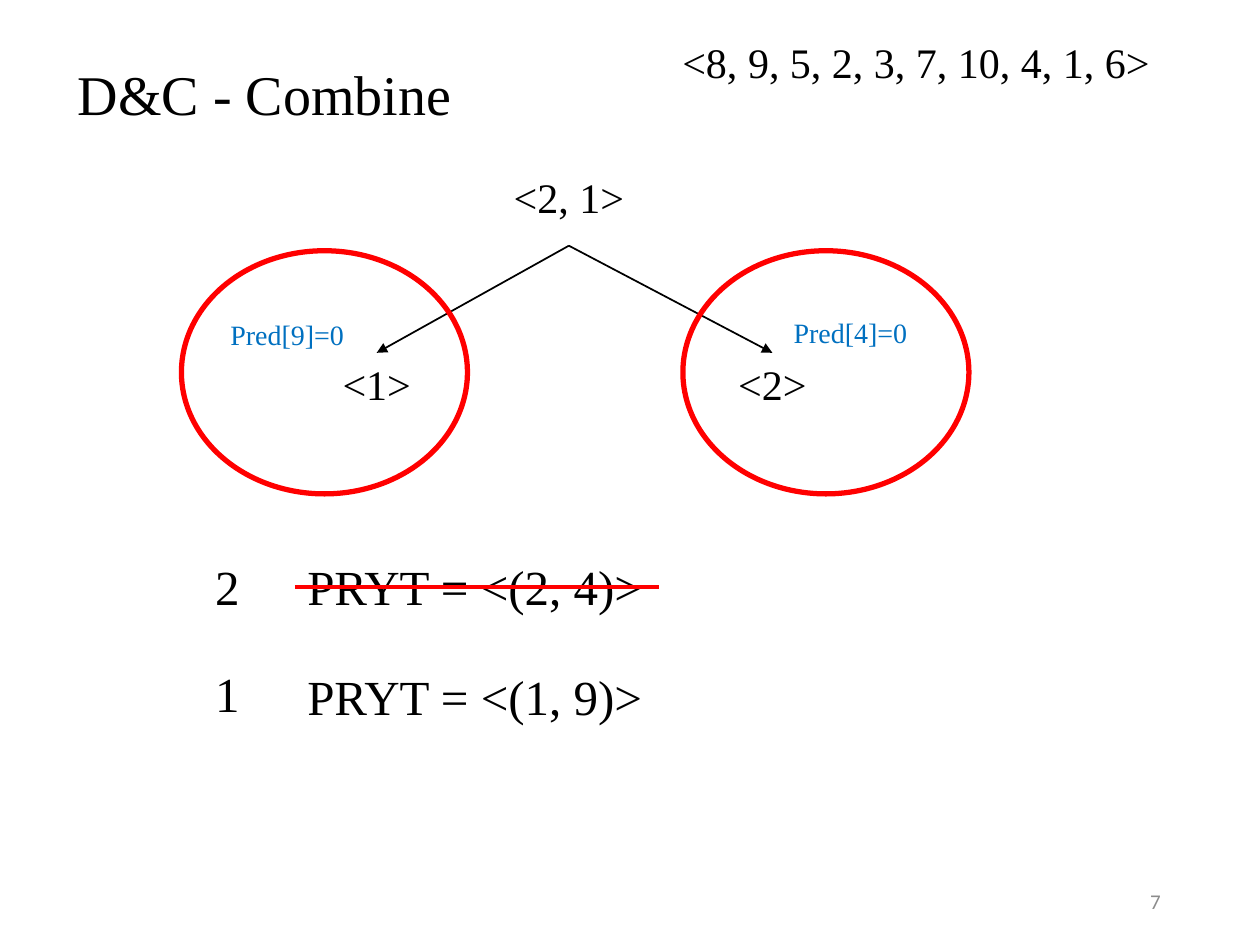
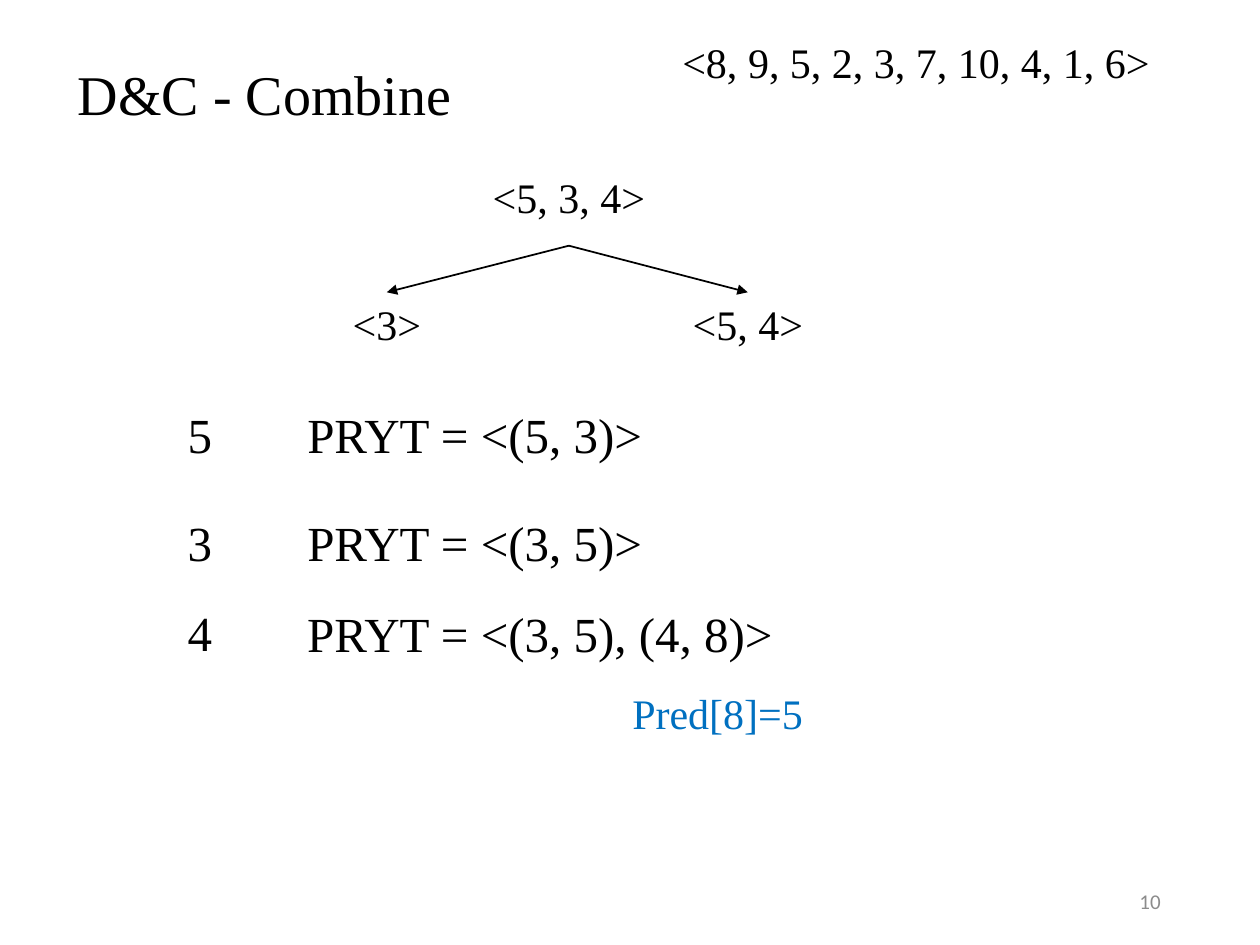
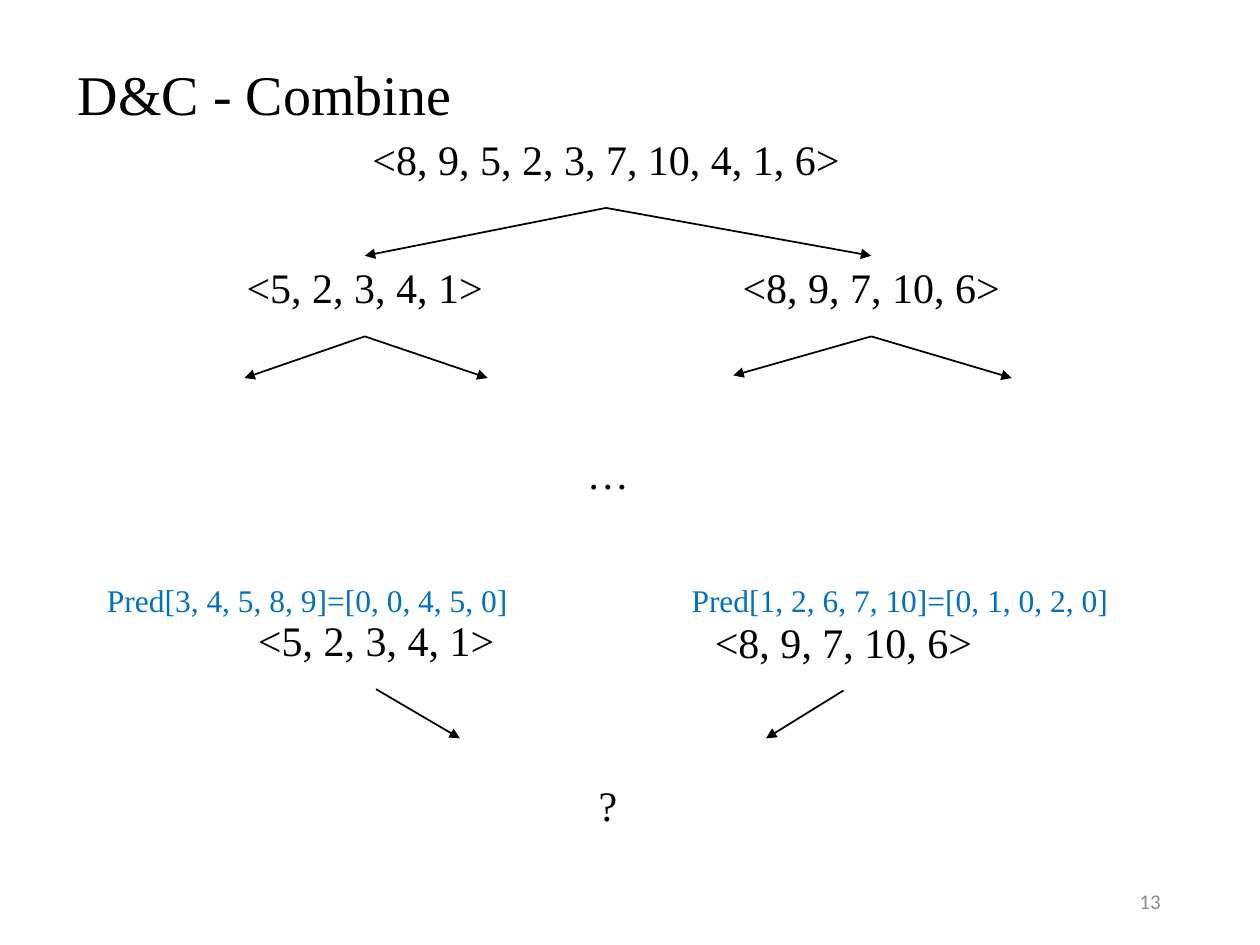
from dataclasses import dataclass

from lxml import etree
from pptx import Presentation
from pptx.dml.color import RGBColor
from pptx.enum.shapes import MSO_CONNECTOR, MSO_SHAPE
from pptx.enum.text import MSO_ANCHOR, MSO_AUTO_SIZE, PP_ALIGN
from pptx.oxml.ns import qn
from pptx.util import Inches, Pt

LEFT, CENTER, RIGHT = PP_ALIGN.LEFT, PP_ALIGN.CENTER, PP_ALIGN.RIGHT
TOP, MIDDLE = MSO_ANCHOR.TOP, MSO_ANCHOR.MIDDLE
FIT_TEXT = MSO_AUTO_SIZE.SHAPE_TO_FIT_TEXT
STRAIGHT = MSO_CONNECTOR.STRAIGHT
OVAL = MSO_SHAPE.OVAL


@dataclass(frozen=True)
class Theme:
    serif: str = "Times New Roman"
    sans: str = "Calibri"
    ink: str = "000000"
    blue: str = "0070C0"
    red: str = "FF0000"
    grey: str = "8C8C8C"
    title_size: int = 32
    formula_size: int = 28
    node_size: int = 24
    wide_pred_size: int = 18
    pred_size: int = 16
    number_size: int = 12


THEME = Theme()
NODE_HEIGHT = 0.64
FULL_SEQUENCE = "<8, 9, 5, 2, 3, 7, 10, 4, 1, 6>"
LOW_HALF = "<5, 2, 3, 4, 1>"
HIGH_HALF = "<8, 9, 7, 10, 6>"


def rgb(value):
    return RGBColor.from_string(value)


def add_text(s, text, left, top, width, height, size, color=THEME.ink,
             font=THEME.serif, align=LEFT, anchor=TOP, spacing=1.0, wrap=True):
    sp = s.shapes.add_textbox(Inches(left), Inches(top), Inches(width), Inches(height))
    tf = sp.text_frame
    tf.text = text
    tf.word_wrap = wrap
    tf.vertical_anchor = anchor
    p = tf.paragraphs[0]
    p.alignment = align
    p.line_spacing = spacing
    r = p.runs[0]
    r.font.name = font
    r.font.size = Pt(size)
    r.font.color.rgb = rgb(color)
    return sp


def add_node(s, text, left, top, width=2.37):
    add_text(s, text, left, top, width, NODE_HEIGHT, THEME.node_size, align=CENTER)
    center = left + width / 2
    return (center, top), (center, top + NODE_HEIGHT)


def add_line(s, start, end, color=THEME.ink, weight=1):
    line = s.shapes.add_connector(STRAIGHT, *map(Inches, start + end))
    line.line.color.rgb = rgb(color)
    line.line.width = Pt(weight)
    etree.SubElement(line._element.spPr, qn("a:effectLst"))
    return line


def add_arrow(s, start, end):
    arrow = add_line(s, start, end)
    etree.SubElement(arrow.line._get_or_add_ln(), qn("a:tailEnd"), type="triangle")


def add_branches(s, parent, *children):
    for child in children:
        add_arrow(s, parent[1], child[0])


def add_circle(s, left, top):
    sp = s.shapes.add_shape(OVAL, Inches(left), Inches(top), Inches(2.27), Inches(1.93))
    sp.shadow.inherit = False
    sp.fill.background()
    sp.line.color.rgb = rgb(THEME.red)
    sp.line.width = Pt(3)


def add_pred(s, text, left, top, width, height, size):
    sp = add_text(s, text, left, top, width, height, size, THEME.blue,
                  spacing=1.5, wrap=False)
    sp.text_frame.auto_size = FIT_TEXT


def add_step(s, key, key_left, key_top, formula, top, width=2.89):
    for text, left, y, w, wrap in ((key, key_left, key_top, 0.34, True),
                                   (formula, 2.34, top, width, False)):
        sp = add_text(s, text, left, y, w, 0.57, THEME.formula_size, wrap=wrap)
        sp.text_frame.auto_size = FIT_TEXT


def add_combine_slide(prs, number):
    s = prs.slides.add_slide(prs.slide_layouts[6])
    add_text(s, "D&C - Combine", 0.52, 0.45, 8.62, 0.64, THEME.title_size,
             anchor=MIDDLE, spacing=0.9)
    add_text(s, number, 7.06, 6.95, 2.25, 0.4, THEME.number_size, THEME.grey,
             THEME.sans, RIGHT, MIDDLE)
    return s


def build_pair_slide(prs):
    s = add_combine_slide(prs, "7")
    add_node(s, FULL_SEQUENCE, 5.23, 0.24, 4.08)
    root = add_node(s, "<2, 1>", 3.33, 1.31)
    low = add_node(s, "<1>", 2.57, 2.8, 0.84)
    high = add_node(s, "<2>", 5.71, 2.8, 0.84)
    add_branches(s, root, low, high)
    add_pred(s, "Pred[9]=0", 1.73, 2.34, 1.12, 0.46, THEME.pred_size)
    add_pred(s, "Pred[4]=0", 6.2, 2.32, 1.12, 0.5, THEME.pred_size)
    for left in (1.44, 5.42):
        add_circle(s, left, 1.99)
    add_step(s, "2", 1.61, 4.37, "PRYT = <(2, 4)>", 4.37)
    add_step(s, "1", 1.61, 5.22, "PRYT = <(1, 9)>", 5.24)
    add_line(s, (2.34, 4.66), (5.23, 4.66), THEME.red, 2.25)


def build_triple_slide(prs):
    s = add_combine_slide(prs, "10")
    add_node(s, FULL_SEQUENCE, 5.23, 0.24, 4.08)
    root = add_node(s, "<5, 3, 4>", 3.33, 1.31)
    low = add_node(s, "<3>", 2.65, 2.32, 0.84)
    high = add_node(s, "<5, 4>", 5.23, 2.32, 1.41)
    add_branches(s, root, low, high)
    add_step(s, "5", 1.39, 3.16, "PRYT = <(5, 3)>", 3.16)
    add_step(s, "3", 1.39, 4.02, "PRYT = <(3, 5)>", 4.02)
    add_step(s, "4", 1.39, 4.73, "PRYT = <(3, 5), (4, 8)>", 4.74, 3.94)
    add_pred(s, "Pred[8]=5", 4.92, 5.21, 1.57, 0.71, THEME.node_size)


def build_full_slide(prs):
    s = add_combine_slide(prs, "13")
    root = add_node(s, FULL_SEQUENCE, 2.77, 1.01, 4.08)
    low = add_node(s, LOW_HALF, 1.71, 2.03)
    high = add_node(s, HIGH_HALF, 5.73, 2.03)
    add_branches(s, root, low, high)
    for parent, end in ((low, (1.94, 3)), (low, (3.87, 3)),
                        (high, (5.82, 2.98)), (high, (8.03, 3))):
        add_arrow(s, parent[1], end)
    add_node(s, "…", 3.64, 3.5)

    solved_low = add_node(s, LOW_HALF, 1.8, 4.83)
    solved_high = add_node(s, HIGH_HALF, 5.51, 4.84)
    add_pred(s, "Pred[3, 4, 5, 8, 9]=[0, 0, 4, 5, 0]", 0.75, 4.41, 3.42, 0.56,
             THEME.wide_pred_size)
    add_pred(s, "Pred[1, 2, 6, 7, 10]=[0, 1, 0, 2, 0]", 5.39, 4.41, 3.54, 0.56,
             THEME.wide_pred_size)
    add_arrow(s, solved_low[1], (3.65, 5.86))
    add_arrow(s, solved_high[1], (6.08, 5.86))
    add_node(s, "?", 3.64, 6.14)


def main():
    prs = Presentation()
    prs.slide_width = Inches(10)
    prs.slide_height = Inches(7.5)
    build_pair_slide(prs)
    build_triple_slide(prs)
    build_full_slide(prs)
    prs.save("out.pptx")


if __name__ == "__main__":
    main()
